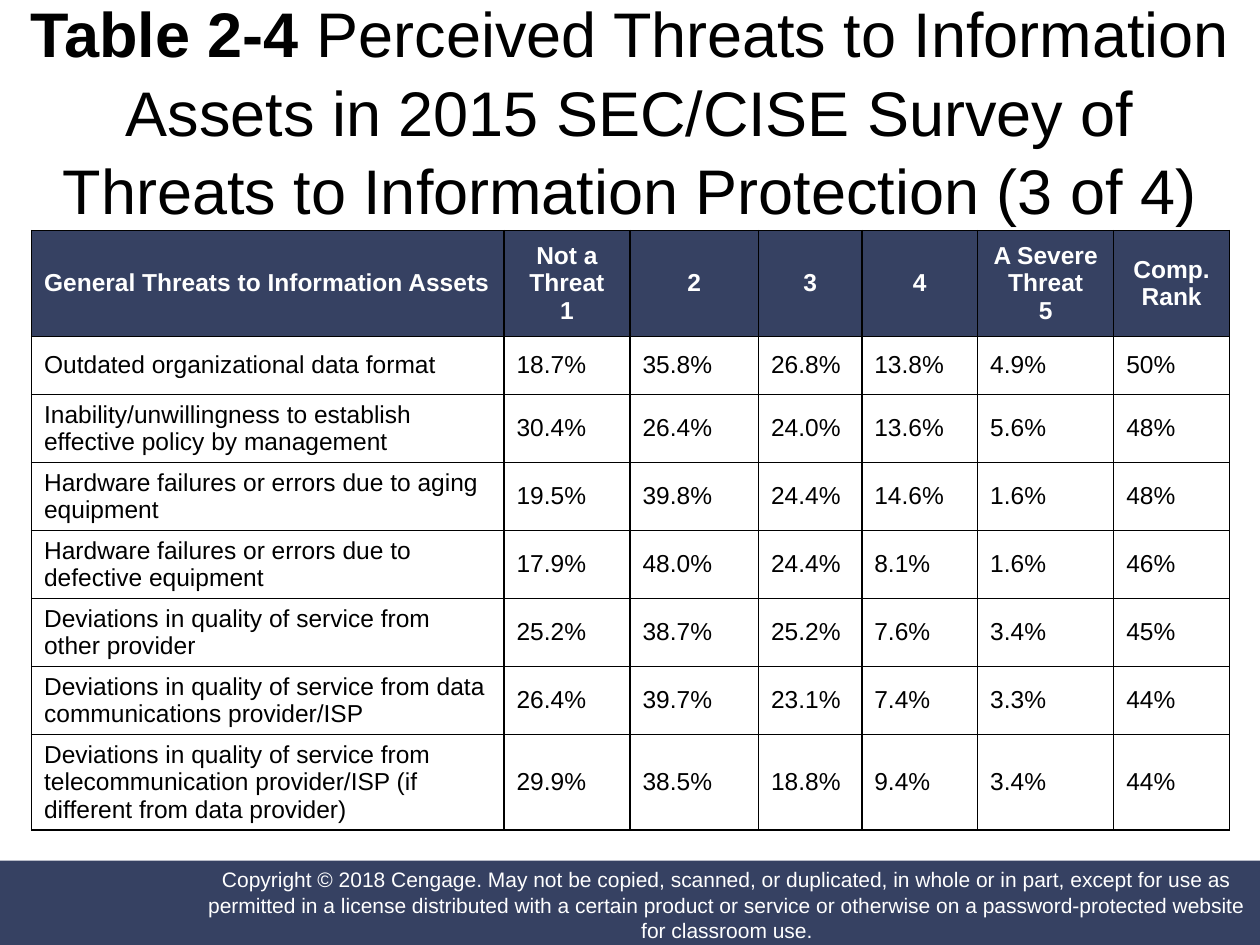
import pptx
import pptx.dml.color
import pptx.enum.shapes
import pptx.enum.text
import pptx.oxml
import pptx.oxml.ns
import pptx.util
from pptx.util import Inches

COLORS = {"navy": "364162", "white": "FFFFFF", "black": "000000"}
FONT = "Arial"
CENTER = pptx.enum.text.PP_ALIGN.CENTER
LEFT = pptx.enum.text.PP_ALIGN.LEFT
MIDDLE = pptx.enum.text.MSO_ANCHOR.MIDDLE

COLUMN_WIDTHS = [3.75, 1, 1.02, 0.82, 0.92, 1.08, 0.92]
ROW_HEIGHTS = [0.84, 0.46] + [0.54] * 5 + [0.76]
HEADER = ["General Threats to Information Assets", "Not a Threat\n1", "2", "3",
          "4", "A Severe Threat\n5", "Comp. Rank"]
THREATS = [
    ["Outdated organizational data format",
     "18.7%", "35.8%", "26.8%", "13.8%", "4.9%", "50%"],
    ["Inability/unwillingness to establish effective policy by management",
     "30.4%", "26.4%", "24.0%", "13.6%", "5.6%", "48%"],
    ["Hardware failures or errors due to aging equipment",
     "19.5%", "39.8%", "24.4%", "14.6%", "1.6%", "48%"],
    ["Hardware failures or errors due to defective equipment",
     "17.9%", "48.0%", "24.4%", "8.1%", "1.6%", "46%"],
    ["Deviations in quality of service from other provider",
     "25.2%", "38.7%", "25.2%", "7.6%", "3.4%", "45%"],
    ["Deviations in quality of service from data communications provider/ISP",
     "26.4%", "39.7%", "23.1%", "7.4%", "3.3%", "44%"],
    ["Deviations in quality of service from telecommunication provider/ISP "
     "(if different from data provider)",
     "29.9%", "38.5%", "18.8%", "9.4%", "3.4%", "44%"],
]
COPYRIGHT = (
    "Copyright © 2018 Cengage. May not be copied, scanned, or duplicated, in whole "
    "or in part, except for use as permitted in a license distributed with a certain "
    "product or service or otherwise on a password-protected website for classroom use.")


def rgb(name):
    return pptx.dml.color.RGBColor.from_string(COLORS[name])


def format_paragraph(paragraph, size, color, bold=False, alignment=CENTER):
    paragraph.alignment = alignment
    paragraph.font.name = FONT
    paragraph.font.size = pptx.util.Pt(size)
    paragraph.font.bold = bold
    paragraph.font.color.rgb = rgb(color)


def add_band(slide, left, top, width, height):
    band = slide.shapes.add_shape(
        pptx.enum.shapes.MSO_SHAPE.RECTANGLE,
        Inches(left), Inches(top), Inches(width), Inches(height))
    band.shadow.inherit = False
    band.fill.solid()
    band.fill.fore_color.rgb = rgb("navy")
    band.line.fill.background()
    return band


def add_footer(slide, left, top, width, height):
    add_band(slide, left, top, width, height)
    # The notice sits towards the right of the band
    notice = add_band(slide, left + 1.63, top + 0.03, 8.3, height - 0.04)
    frame = notice.text_frame
    frame.word_wrap = True
    frame.vertical_anchor = MIDDLE
    frame.margin_left = frame.margin_right = frame.margin_top = frame.margin_bottom = 0
    frame.text = COPYRIGHT
    format_paragraph(frame.paragraphs[0], 12, "white")


def add_title(slide, left, top, width, height):
    title = slide.shapes.title
    title.left, title.top = Inches(left), Inches(top)
    title.width, title.height = Inches(width), Inches(height)
    frame = title.text_frame
    frame.word_wrap = True
    frame.auto_size = pptx.enum.text.MSO_AUTO_SIZE.NONE
    frame.vertical_anchor = MIDDLE
    paragraph = frame.paragraphs[0]
    format_paragraph(paragraph, 36, "black")
    paragraph.line_spacing = 1.04
    label = paragraph.add_run()
    label.text = "Table 2-4 "
    label.font.bold = True
    paragraph.add_run().text = (
        "Perceived Threats to Information Assets in 2015 SEC/CISE Survey of "
        "Threats to Information Protection (3 of 4)")


def set_borders(cell):
    properties = cell._tc.get_or_add_tcPr()
    for position, edge in enumerate(("lnL", "lnR", "lnT", "lnB")):
        properties.insert(position, pptx.oxml.parse_xml(
            f'<a:{edge} {pptx.oxml.ns.nsdecls("a")} w="12700"><a:solidFill>'
            f'<a:srgbClr val="{COLORS["black"]}"/></a:solidFill></a:{edge}>'))


def fill_cell(cell, text, is_header, alignment):
    cell.text = text
    cell.vertical_anchor = MIDDLE
    if is_header:
        cell.fill.solid()
        cell.fill.fore_color.rgb = rgb("navy")
    else:
        cell.fill.background()
    for paragraph in cell.text_frame.paragraphs:
        format_paragraph(paragraph, 14, "white" if is_header else "black",
                         is_header, alignment)
    set_borders(cell)


def add_threat_table(slide, left, top, width, height):
    rows = [HEADER] + THREATS
    table = slide.shapes.add_table(
        len(rows), len(HEADER),
        Inches(left), Inches(top), Inches(width), Inches(height)).table
    table.horz_banding = False
    for column, column_width in zip(table.columns, COLUMN_WIDTHS):
        column.width = Inches(column_width)
    for row, row_height in zip(table.rows, ROW_HEIGHTS):
        row.height = Inches(row_height)
    for row_index, texts in enumerate(rows):
        for column_index, text in enumerate(texts):
            is_header = row_index == 0
            alignment = CENTER if is_header and column_index else LEFT
            fill_cell(table.cell(row_index, column_index), text, is_header, alignment)


def main():
    presentation = pptx.Presentation()
    presentation.slide_width = Inches(10)
    presentation.slide_height = Inches(7.5)
    slide = presentation.slides.add_slide(presentation.slide_layouts[5])
    add_footer(slide, -0.01, 6.83, 10.01, 0.68)
    add_title(slide, 0, 0.08, 10, 1.58)
    add_threat_table(slide, 0.25, 1.83, sum(COLUMN_WIDTHS), sum(ROW_HEIGHTS))
    presentation.save("out.pptx")


if __name__ == "__main__":
    main()
